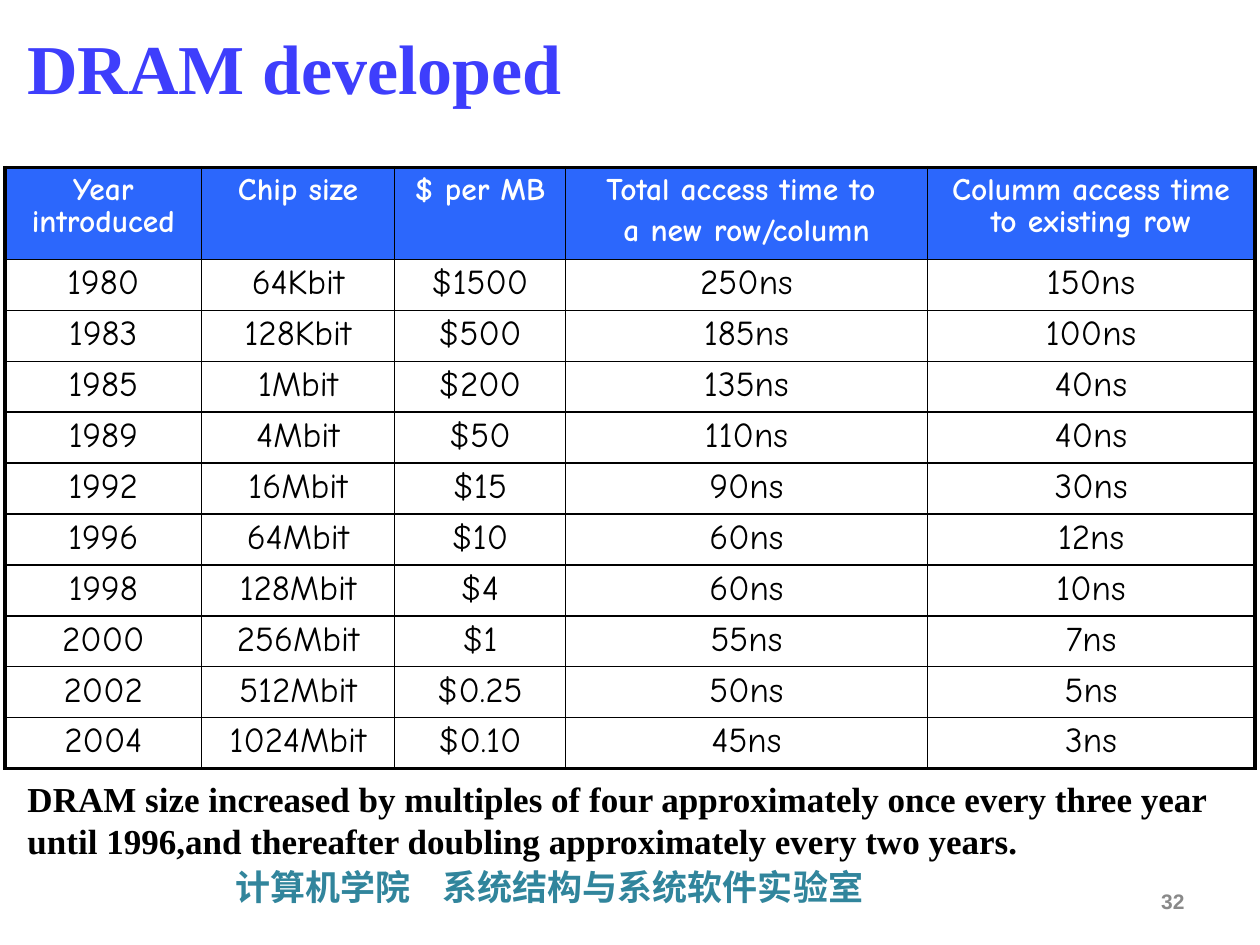
from lxml import etree
from pptx import Presentation
from pptx.dml.color import RGBColor
from pptx.enum import text
from pptx.oxml import ns
from pptx.util import Inches, Pt

BLACK = RGBColor(0x00, 0x00, 0x00)
WHITE = RGBColor(0xFF, 0xFF, 0xFF)
TITLE_BLUE = RGBColor(0x3E, 0x3E, 0xFC)
HEADER_BLUE = RGBColor(0x2C, 0x67, 0xFC)
TEAL = RGBColor(0x31, 0x85, 0x9C)
GREY = RGBColor(0x89, 0x89, 0x89)
THIN, THICK = Pt(1), Pt(2.25)


def add_run(p, words, size, font, color, bold=True):
    r = p.add_run()
    r.text = words
    r.font.size, r.font.name, r.font.bold = Pt(size), font, bold
    r.font.color.rgb = color
    ea = etree.SubElement(r._r.get_or_add_rPr(), ns.qn("a:ea"))
    ea.set("typeface", font)


def add_border(cell, side, width):
    """Draw one black cell edge; side is L, R, T or B, added in that order."""
    ln = etree.SubElement(cell._tc.get_or_add_tcPr(), ns.qn(f"a:ln{side}"), w=str(width))
    fill = etree.SubElement(ln, ns.qn("a:solidFill"))
    etree.SubElement(fill, ns.qn("a:srgbClr"), val=str(BLACK))


prs = Presentation()
prs.slide_width, prs.slide_height = Inches(10), Inches(7.5)
s = prs.slides.add_slide(prs.slide_layouts[6])

# Title, conclusion, department and page number
LEFT, RIGHT = text.PP_ALIGN.LEFT, text.PP_ALIGN.RIGHT
TOP, MIDDLE = text.MSO_ANCHOR.TOP, text.MSO_ANCHOR.MIDDLE
conclusion = ("DRAM size increased by multiples of four approximately once every three year "
              "until 1996,and thereafter doubling approximately every two years.")
labels = [
    ("计算机学院    系统结构与系统软件实验室", (1.77, 6.82, 7.24, 0.44),
     20, "Noto Sans CJK SC", TEAL, LEFT, TOP),
    ("DRAM developed", (0.12, 0.13, 7.83, 0.8), 40, "Times New Roman", TITLE_BLUE, LEFT, MIDDLE),
    (conclusion, (0.12, 6.12, 9.57, 0.77), 20, "Times New Roman", BLACK, LEFT, TOP),
    ("32", (7.17, 6.95, 2.33, 0.4), 12, "Arial", GREY, RIGHT, MIDDLE),
]
for words, box, size, font, color, align, anchor in labels:
    tf = s.shapes.add_textbox(*(Inches(v) for v in box)).text_frame
    tf.word_wrap = True
    tf.vertical_anchor = anchor
    p = tf.paragraphs[0]
    p.alignment = align
    add_run(p, words, size, font, color)

# DRAM generations
rows = [
    ("Year introduced", "Chip size", "$ per MB", "Total access time to \na new row/column",
     "Columm access time to existing row"),
    ("1980", "64Kbit", "$1500", "250ns", "150ns"),
    ("1983", "128Kbit", "$500", "185ns", "100ns"),
    ("1985", "1Mbit", "$200", "135ns", "40ns"),
    ("1989", "4Mbit", "$50", "110ns", "40ns"),
    ("1992", "16Mbit", "$15", "90ns", "30ns"),
    ("1996", "64Mbit", "$10", "60ns", "12ns"),
    ("1998", "128Mbit", "$4", "60ns", "10ns"),
    ("2000", "256Mbit", "$1", "55ns", "7ns"),
    ("2002", "512Mbit", "$0.25", "50ns", "5ns"),
    ("2004", "1024Mbit", "$0.10", "45ns", "3ns"),
]
col_widths = [1.56, 1.53, 1.36, 2.87, 2.6]
last_row, last_col = len(rows) - 1, len(col_widths) - 1
table = s.shapes.add_table(len(rows), len(col_widths), Inches(0.04), Inches(1.33),
                           Inches(9.92), Inches(4.77)).table
table.first_row = table.horz_banding = False
for column, width in zip(table.columns, col_widths):
    column.width = Inches(width)

for i, row in enumerate(rows):
    header = i == 0
    table.rows[i].height = Inches(0.73 if header else 0.404)
    for j, words in enumerate(row):
        cell = table.cell(i, j)
        outer_edges = {"L": j == 0, "R": j == last_col, "T": header, "B": i == last_row}
        for side, outer in outer_edges.items():
            add_border(cell, side, THICK if outer else THIN)
        if header:
            cell.fill.solid()
            cell.fill.fore_color.rgb = HEADER_BLUE
        else:
            cell.fill.background()
        tf = cell.text_frame
        for k, line in enumerate(words.split("\n")):
            p = tf.add_paragraph() if k else tf.paragraphs[0]
            p.alignment = text.PP_ALIGN.CENTER
            p.line_spacing = 0.9
            if k:
                p.space_before = Pt(5)
            add_run(p, line, 18 if header else 20, "Comic Neue",
                    WHITE if header else BLACK, bold=header)

prs.save("out.pptx")
